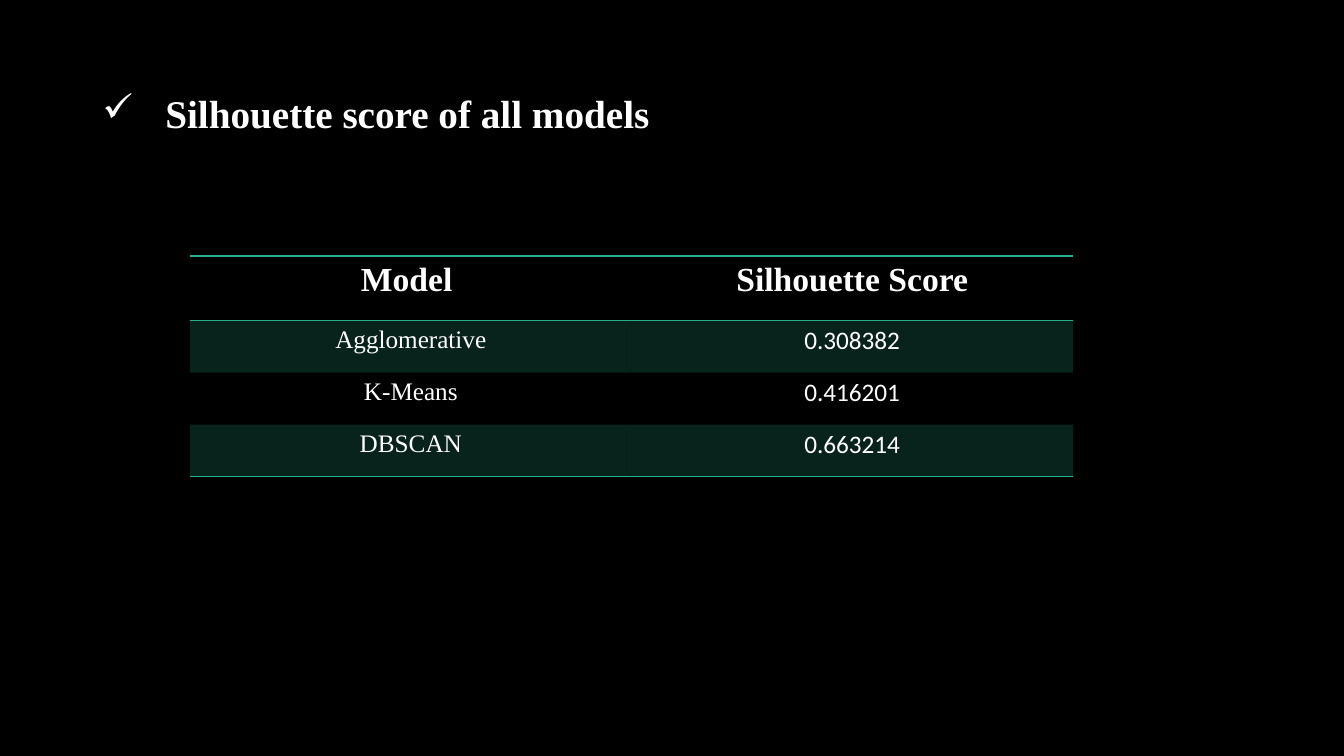
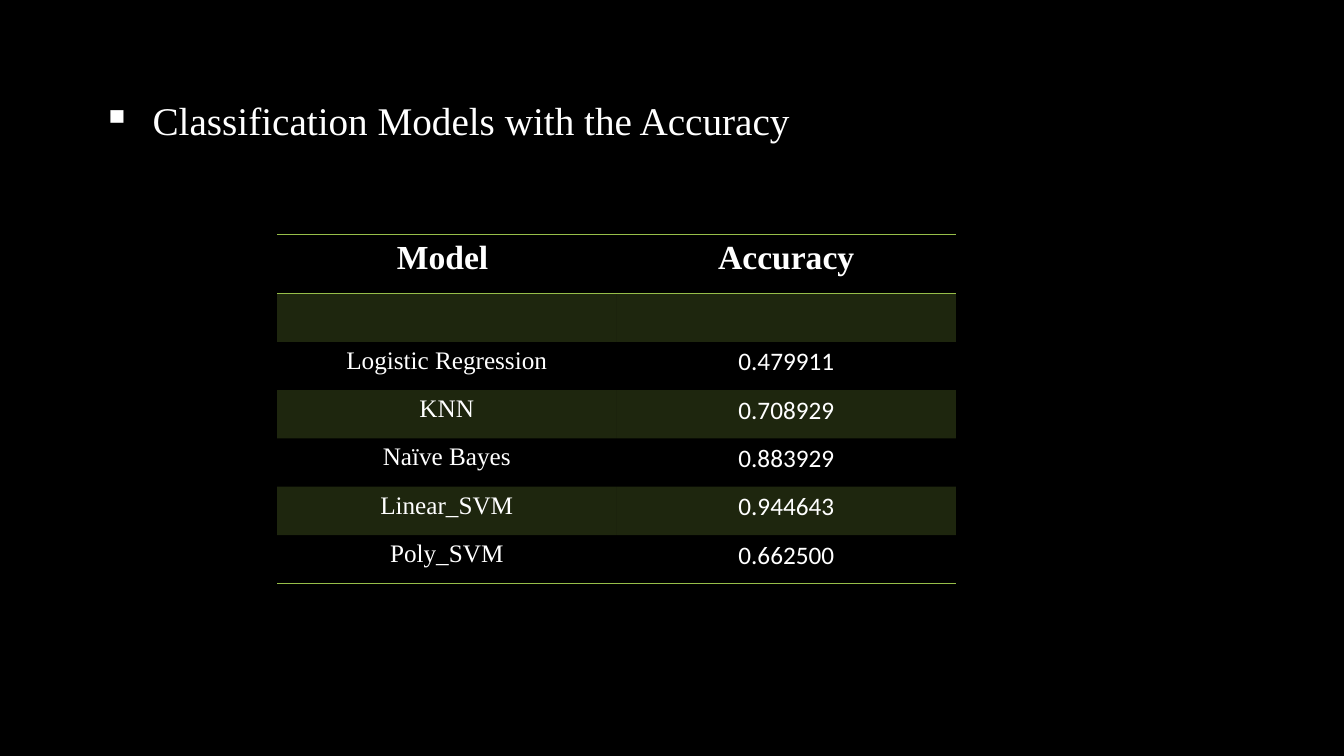
from pptx import Presentation
from pptx.dml.color import RGBColor
from pptx.enum import text
from pptx.oxml import parse_xml
from pptx.oxml.ns import nsdecls
from pptx.util import Pt

BLACK = RGBColor(0x00, 0x00, 0x00)
WHITE = RGBColor(0xFF, 0xFF, 0xFF)
TEAL = RGBColor(0x29, 0xAF, 0x8C)
GREEN = RGBColor(0x97, 0xBE, 0x49)

SERIF, SANS = "Times New Roman", "Calibri"
TITLE_LEFT, TITLE_WIDTH = 66, 828
BAND_OPACITY = 20  # percent

SLIDES = [
    {
        "title": "Silhouette score of all models",
        "bullet": "✓", "indent": 45, "bold": True,
        "title_top": 45.5, "title_height": 75,
        "accent": TEAL,
        "left": 135.8, "top": 182.9, "column": 315.3,
        "header_height": 46.2, "row_height": 37.15,
        "rows": [
            ("Model ", "Silhouette Score"),
            ("Agglomerative", "0.308382"),
            ("K-Means", "0.416201"),
            ("DBSCAN", "0.663214"),
        ],
    },
    {
        "title": "Classification Models with the Accuracy",
        "bullet": "▪", "indent": 36, "bold": False,
        "title_top": 49.5, "title_height": 77,
        "accent": GREEN,
        "left": 197.9, "top": 167.5, "column": 242.5,
        "header_height": 42.2, "row_height": 34.5,
        "rows": [
            ("Model ", "Accuracy"),
            ("", ""),
            ("Logistic Regression", "0.479911"),
            ("KNN", "0.708929"),
            ("Naïve Bayes", "0.883929"),
            ("Linear_SVM", "0.944643"),
            ("Poly_SVM", "0.662500"),
        ],
    },
]


def write(para, words, **formats):
    span = para.add_run()
    span.text = words
    span.font.color.rgb = WHITE
    for name, value in formats.items():
        setattr(span.font, name, value)


def add_title(page, content):
    box = page.shapes.add_textbox(
        Pt(TITLE_LEFT), Pt(content["title_top"]),
        Pt(TITLE_WIDTH), Pt(content["title_height"]))
    frame = box.text_frame
    frame.word_wrap = True
    frame.vertical_anchor = text.MSO_ANCHOR.MIDDLE
    para = frame.paragraphs[0]
    para.line_spacing = 0.9
    write(para, content["title"], name=SERIF, size=Pt(28), bold=content["bold"])
    props = para._p.get_or_add_pPr()
    indent = Pt(content["indent"])
    props.set("marL", str(indent))
    props.set("indent", str(-indent))
    props.append(parse_xml(
        f'<a:buChar {nsdecls("a")} char="{content["bullet"]}"/>'))


def set_borders(cell, color, sides):
    """Draw the given sides (of L, R, T, B) and clear the others."""
    props = cell._tc.get_or_add_tcPr()
    for side in "LRTB":
        paint = (f'<a:solidFill><a:srgbClr val="{color}"/></a:solidFill>'
                 if side in sides else "<a:noFill/>")
        props.append(parse_xml(
            f'<a:ln{side} {nsdecls("a")} w="{Pt(1)}">{paint}</a:ln{side}>'))


def set_band(cell, color):
    cell.fill.solid()
    cell.fill.fore_color.rgb = color
    tint = cell._tc.tcPr.find(".//{*}solidFill[last()]/{*}srgbClr")
    for fill in cell._tc.tcPr.findall("{*}solidFill"):
        tint = fill[0]
    tint.append(parse_xml(
        f'<a:alpha {nsdecls("a")} val="{BAND_OPACITY * 1000}"/>'))


def add_score_table(page, content):
    rows, accent = content["rows"], content["accent"]
    heights = [content["header_height"]]
    heights += [content["row_height"]] * (len(rows) - 1)
    columns = len(rows[0])
    table = page.shapes.add_table(
        len(rows), columns, Pt(content["left"]), Pt(content["top"]),
        Pt(content["column"] * columns), Pt(sum(heights))).table
    table.first_row = table.horz_banding = False

    for column in table.columns:
        column.width = Pt(content["column"])
    for r, (values, height) in enumerate(zip(rows, heights)):
        table.rows[r].height = Pt(height)
        header = r == 0
        sides = "TB" if header else "B" if r == len(rows) - 1 else ""
        if r == 1:
            sides += "T"
        for c, value in enumerate(values):
            cell = table.cell(r, c)
            set_borders(cell, accent, sides)
            if r % 2:
                set_band(cell, accent)
            else:
                cell.fill.background()
            para = cell.text_frame.paragraphs[0]
            para.alignment = text.PP_ALIGN.CENTER
            if value:
                write(para, value, bold=header, size=Pt(24 if header else 18),
                      name=SERIF if header or c == 0 else SANS)


def main():
    deck = Presentation()
    deck.slide_width, deck.slide_height = Pt(960), Pt(540)
    backdrop = deck.slide_master.background.fill
    backdrop.solid()
    backdrop.fore_color.rgb = BLACK
    for content in SLIDES:
        page = deck.slides.add_slide(deck.slide_layouts[6])
        add_title(page, content)
        add_score_table(page, content)
    deck.save("out.pptx")


if __name__ == "__main__":
    main()
